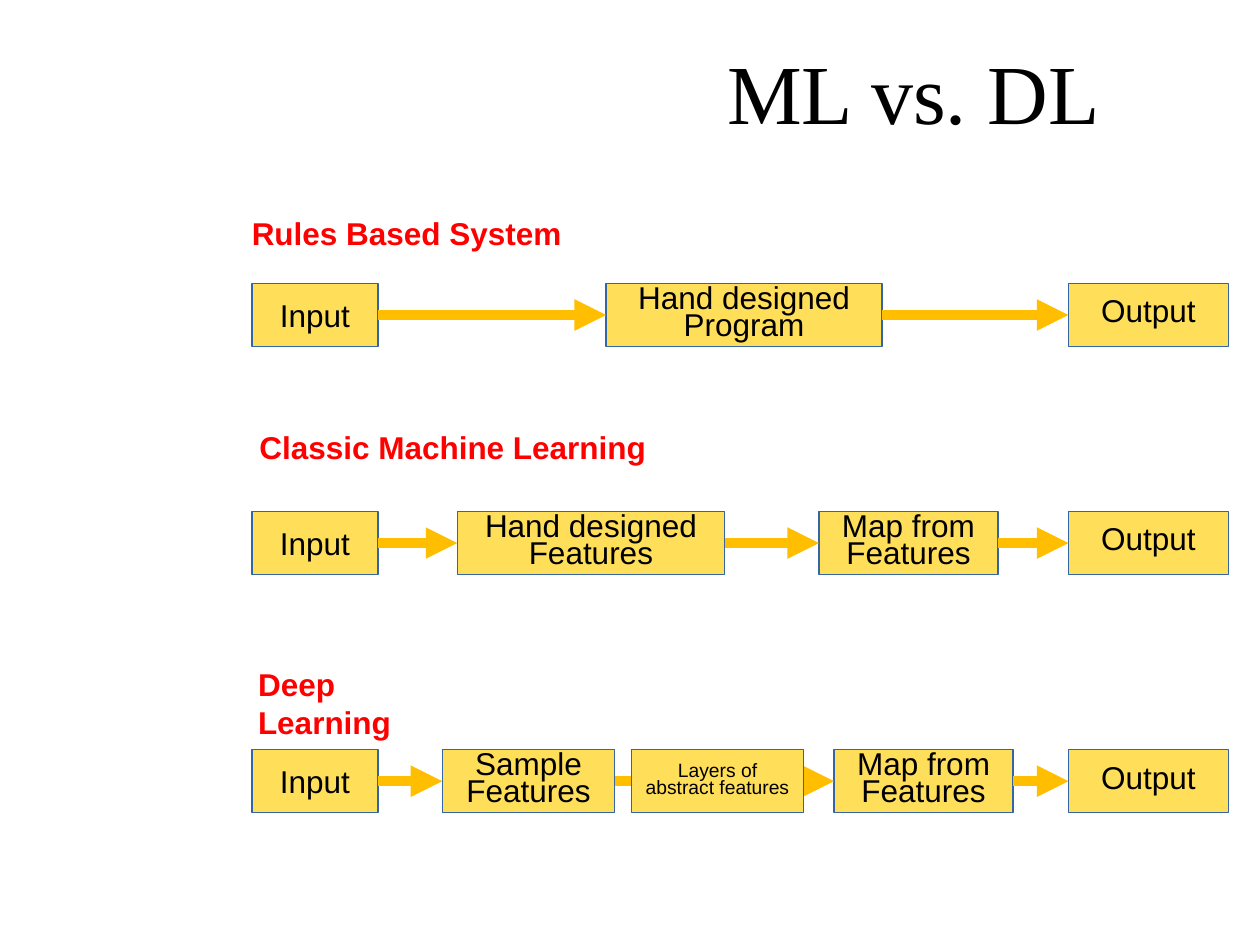
from dataclasses import dataclass
from itertools import pairwise
from typing import Optional

from lxml.etree import SubElement
from pptx import Presentation
from pptx.dml.color import RGBColor
from pptx.enum.shapes import MSO_CONNECTOR, MSO_SHAPE
from pptx.enum.text import MSO_ANCHOR, MSO_AUTO_SIZE, PP_ALIGN
from pptx.oxml.ns import qn
from pptx.shapes.autoshape import Shape
from pptx.slide import Slide
from pptx.text.text import _Paragraph
from pptx.util import Inches, Pt

BLACK = RGBColor(0x00, 0x00, 0x00)
RED = RGBColor(0xFF, 0x00, 0x00)
YELLOW = RGBColor(0xFF, 0xDE, 0x59)
BLUE = RGBColor(0x34, 0x65, 0xA4)
AMBER = RGBColor(0xFF, 0xBF, 0x00)

BOX_HEIGHT = 0.5
LEFT_SITE, RIGHT_SITE = 1, 3


@dataclass(frozen=True)
class Box:
    left: float
    width: float
    lines: tuple[str, ...]
    size: int = 18
    spacing: Optional[float] = 0.7


@dataclass(frozen=True)
class Heading:
    left: float
    top: float
    width: float
    text: str


@dataclass(frozen=True)
class Flow:
    heading: Heading
    top: float
    steps: tuple[Box, ...]
    overlay: Optional[Box] = None


INPUT = Box(2, 1, ("Input",), spacing=None)
OUTPUT = Box(8.48, 1.27, ("Output",))
MAPPING = ("Map from", "Features")

FLOWS = (
    Flow(
        Heading(1.9, 1.65, 2.66, "Rules Based System"),
        2.25,
        (INPUT, Box(4.81, 2.19, ("Hand designed", "Program")), OUTPUT),
    ),
    Flow(
        Heading(1.96, 3.35, 3.27, "Classic Machine Learning"),
        4.06,
        (
            INPUT,
            Box(3.63, 2.12, ("Hand designed", "Features")),
            Box(6.5, 1.42, MAPPING),
            OUTPUT,
        ),
    ),
    Flow(
        Heading(1.95, 5.23, 1.93, "Deep Learning"),
        5.95,
        (
            INPUT,
            Box(3.51, 1.37, ("Sample", "Features")),
            Box(6.62, 1.42, MAPPING),
            OUTPUT,
        ),
        Box(5.01, 1.37, ("Layers of abstract features",), size=11),
    ),
)


def add_run(p: _Paragraph, text: str, size: int, color: RGBColor = BLACK,
            font: str = "Arial", bold: bool = False) -> None:
    r = p.add_run()
    r.text = text
    r.font.name = font
    r.font.size = Pt(size)
    r.font.bold = bold
    r.font.color.rgb = color


def add_title(s: Slide, text: str) -> None:
    sp = s.shapes.title
    sp.left, sp.top = Inches(4.7), Inches(0.13)
    sp.width, sp.height = Inches(5.1), Inches(1.18)
    tf = sp.text_frame
    tf.auto_size = MSO_AUTO_SIZE.NONE
    tf.vertical_anchor = MSO_ANCHOR.MIDDLE
    tf.margin_left = tf.margin_right = tf.margin_top = tf.margin_bottom = 0
    p = tf.paragraphs[0]
    p.alignment = PP_ALIGN.CENTER
    add_run(p, text, 48, font="Times New Roman")


def add_heading(s: Slide, heading: Heading) -> None:
    sp = s.shapes.add_textbox(Inches(heading.left), Inches(heading.top),
                              Inches(heading.width), Inches(0.4))
    tf = sp.text_frame
    tf.word_wrap = False
    tf.auto_size = MSO_AUTO_SIZE.SHAPE_TO_FIT_TEXT
    add_run(tf.paragraphs[0], heading.text, 18, RED, bold=True)


def add_box(s: Slide, box: Box, top: float) -> Shape:
    sp = s.shapes.add_shape(MSO_SHAPE.RECTANGLE, Inches(box.left), Inches(top),
                            Inches(box.width), Inches(BOX_HEIGHT))
    sp.shadow.inherit = False
    sp.fill.solid()
    sp.fill.fore_color.rgb = YELLOW
    sp.line.color.rgb = BLUE
    sp.line.width = Pt(0)
    tf = sp.text_frame
    tf.word_wrap = True
    tf.vertical_anchor = MSO_ANCHOR.MIDDLE
    for i, line in enumerate(box.lines):
        p = tf.add_paragraph() if i else tf.paragraphs[0]
        p.alignment = PP_ALIGN.CENTER
        p.line_spacing = box.spacing
        add_run(p, line, box.size)
    return sp


def add_arrow(s: Slide, start: Shape, end: Shape) -> None:
    cxn = s.shapes.add_connector(MSO_CONNECTOR.ELBOW, 0, 0, 0, 0)
    cxn.begin_connect(start, RIGHT_SITE)
    cxn.end_connect(end, LEFT_SITE)
    cxn.line.color.rgb = AMBER
    cxn.line.width = Pt(6)
    SubElement(cxn.line._get_or_add_ln(), qn("a:tailEnd"), type="triangle")
    SubElement(cxn._element.spPr, qn("a:effectLst"))


def add_flow(s: Slide, flow: Flow) -> None:
    add_heading(s, flow.heading)
    boxes = [add_box(s, step, flow.top) for step in flow.steps]
    for start, end in pairwise(boxes):
        add_arrow(s, start, end)
    if flow.overlay:
        add_box(s, flow.overlay, flow.top)


def main() -> None:
    prs = Presentation()
    prs.slide_width, prs.slide_height = Inches(10), Inches(7.5)
    s = prs.slides.add_slide(prs.slide_layouts[5])
    add_title(s, "ML vs. DL")
    for flow in FLOWS:
        add_flow(s, flow)
    prs.save("out.pptx")


if __name__ == "__main__":
    main()
